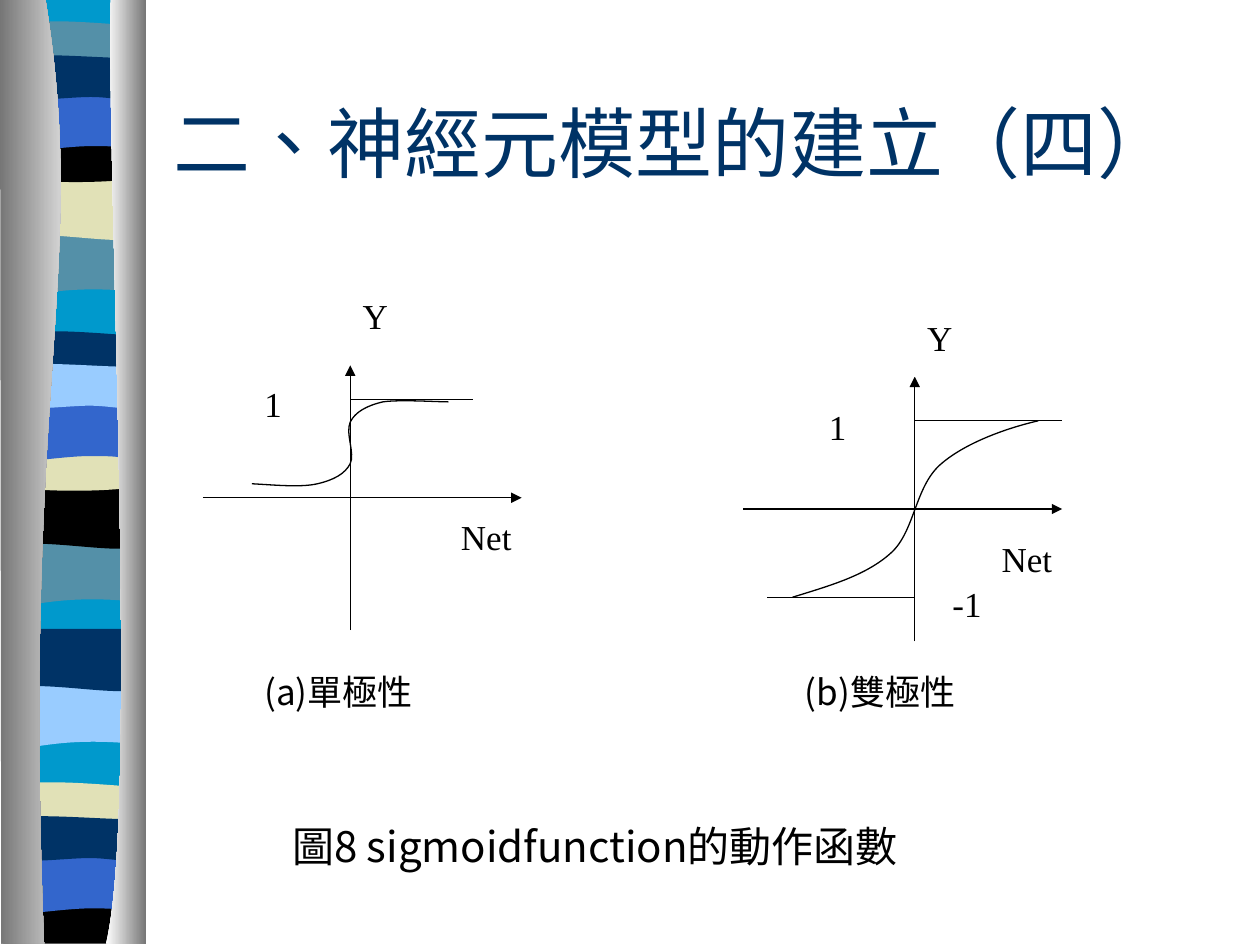
from lxml.etree import SubElement
from pptx import Presentation
from pptx.dml.color import RGBColor
from pptx.enum.lang import MSO_LANGUAGE_ID as Lang
from pptx.enum.shapes import MSO_CONNECTOR as Link, MSO_SHAPE as Shape
from pptx.enum.text import MSO_ANCHOR as Anchor, PP_ALIGN as Align
from pptx.oxml.ns import qn
from pptx.util import Inches, Pt

SERIF, SANS = "Times New Roman", "Noto Sans CJK SC"
BLACK, WHITE, NAVY, TEAL = "000000", "FFFFFF", "003366", "5490A8"
BLUE, SKY, CREAM, CYAN, GREY = "3366CC", "99CCFF", "E1E1B7", "0099CC", "767676"

# Outlines start with a point; 2 numbers add a line, 6 add a Bézier curve.
DIP = [(1.08, 0), (1.08, .47), (.33, .39, .18, .55, 0, .47), (0, 0)]
SWELL = [(1.08, 0), (1.08, .47), (.9, .55, .33, .41, 0, .47), (0, 0)]
THIN = [(1.08, .05), (1.08, .29), (.9, .33, .18, .33, 0, .29), (0, .05),
        (.06, 0, .23, .01, .41, .01), (.59, .01, .94, .04, 1.08, .05)]
BOWL = [(1.08, 0), (1.08, .32), (.9, .38, .18, .38, 0, .32), (0, 0),
        (.66, .05, .85, 0, 1.08, 0)]
FOOT = [(1.08, 0), (1.08, .37), (.01, .37), (0, 0), (.66, .05, .85, 0, 1.08, 0)]
ARCH = [(1.08, 0), (1.08, .47), (.91, .42, .84, .42, .66, .42),
        (.48, .42, .16, .47, 0, .47), (0, 0)]
CAP = [(1.08, .05), (1.08, .36), (1.01, .41, .84, .36, .66, .36),
       (.48, .36, .11, .41, 0, .36), (0, .05), (.15, 0, .73, .05, .91, .05),
       (1.09, .05, 1.04, .05, 1.08, .05)]
BASE = [(1.08, 0), (1.08, 7.48), (0, 7.48), (0, 0)]

BANDS = [
    (BASE, .06, -.01, CYAN),
    (DIP, .06, 1.85, TEAL), (SWELL, .06, 1.41, CREAM), (THIN, .06, .16, TEAL),
    (BOWL, .06, 1.08, BLACK), (ARCH, .06, .74, BLUE), (CAP, .06, .41, NAVY),
    (DIP, .05, 4.31, TEAL), (SWELL, .05, 3.86, BLACK), (THIN, .05, 2.62, NAVY),
    (BOWL, .05, 3.53, CREAM), (ARCH, .05, 3.2, BLUE), (CAP, .05, 2.86, SKY),
    (DIP, .06, 5.44, SKY), (SWELL, .06, 4.99, NAVY), (THIN, .05, 6.2, CREAM),
    (FOOT, .05, 7.12, BLACK), (ARCH, .05, 6.79, BLUE), (CAP, .05, 6.45, NAVY),
]
LEFT_EDGE = [(.36, -.01), (.71, 2.16, .17, 2.96, .35, 7.49), (.01, 7.49), (0, -.01)]
RIGHT_EDGE = [(.88, -.01), (.84, 1.25, 1.11, 6.46, .84, 7.49), (1.16, 7.49), (1.16, 0)]

STEP_CURVE = [(2, 3.84), (2.19, 3.85, 2.39, 3.87, 2.52, 3.84),
              (2.65, 3.81, 2.74, 3.76, 2.78, 3.68),
              (2.82, 3.6, 2.74, 3.44, 2.78, 3.35),
              (2.82, 3.27, 2.91, 3.22, 3.04, 3.19),
              (3.17, 3.17, 3.47, 3.19, 3.56, 3.19)]
S_CURVE = [(6.29, 4.74), (6.58, 4.65, 6.87, 4.57, 7.07, 4.39),
           (7.26, 4.22, 7.26, 3.87, 7.46, 3.69),
           (7.65, 3.52, 7.98, 3.4, 8.24, 3.34)]

LABELS = [
    ("Net", 7.85, 4.22, .78, SERIF), ("Net", 3.56, 4.04, .78, SERIF),
    ("-1", 7.46, 4.57, .58, SERIF), ("1", 6.48, 3.17, .59, SERIF),
    ("1", 2, 2.99, .59, SERIF), ("Y", 2.78, 2.29, .58, SERIF),
    ("Y", 7.26, 2.46, .78, SERIF),
    ("(a)單極性", 2, 5.27, 1.75, SANS), ("(b)雙極性", 6.29, 5.27, 1.75, SANS),
]


def rgb(code):
    return RGBColor.from_string(code)


def bend(shape, path):
    """Merge the three lines drawn for each curve into one Bézier."""
    lines = iter(list(shape._element.iter(qn("a:lnTo"))))
    for seg in path[1:]:
        first = next(lines)
        if len(seg) == 6:
            first.tag = qn("a:cubicBezTo")
            for _ in range(2):
                extra = next(lines)
                first.append(extra[0])
                extra.getparent().remove(extra)


def add_path(slide, path, left=0, top=0, close=True):
    pts = [(Inches(left + x), Inches(top + y))
           for seg in path for x, y in zip(seg[::2], seg[1::2])]
    pen = slide.shapes.build_freeform(*pts[0])
    pen.add_line_segments(pts[1:], close=close)
    shape = pen.convert_to_shape()
    bend(shape, path)
    shape.shadow.inherit = False
    return shape


def add_band(slide, path, left, top, color):
    band = add_path(slide, path, left, top)
    band.fill.solid()
    band.fill.fore_color.rgb = rgb(color)
    band.line.fill.background()


def add_edge(slide, path, start, end):
    edge = add_path(slide, path)
    edge.line.fill.background()
    edge.fill.gradient()
    edge.fill.gradient_angle = 0
    for stop, color in zip(edge.fill.gradient_stops, (start, end)):
        stop.color.rgb = rgb(color)


def add_curve(slide, path):
    curve = add_path(slide, path, close=False)
    curve.fill.background()
    ink(curve.line)


def ink(line, color=BLACK):
    line.color.rgb = rgb(color)
    line.width = Pt(.75)


def add_line(slide, x1, y1, x2, y2, arrow=False):
    line = slide.shapes.add_connector(Link.STRAIGHT, *map(Inches, (x1, y1, x2, y2)))
    ink(line.line)
    if arrow:
        SubElement(line.line._get_or_add_ln(), qn("a:tailEnd"), type="triangle")
    SubElement(line._element.spPr, qn("a:effectLst"))


def add_axes(slide, x, y, left, right):
    add_line(slide, x, y + 1.05, x, y - 1.05, arrow=True)
    add_line(slide, x - left, y, x + right, y, arrow=True)


def write(shape, text, size, font, color=BLACK, align=Align.LEFT, anchor=Anchor.MIDDLE):
    frame = shape.text_frame
    frame.word_wrap = True
    frame.vertical_anchor = anchor
    frame.text = text
    para = frame.paragraphs[0]
    para.alignment = align
    para.font.size = Pt(size)
    para.font.name = font
    para.font.color.rgb = rgb(color)
    para.runs[0].font.language_id = Lang.TRADITIONAL_CHINESE


def add_label(slide, text, left, top, width, font):
    box = slide.shapes.add_shape(Shape.RECTANGLE, *map(Inches, (left, top, width, .53)))
    box.shadow.inherit = False
    box.fill.solid()
    box.fill.fore_color.rgb = rgb(WHITE)
    ink(box.line, WHITE)
    write(box, text, 20, font, anchor=Anchor.TOP)


def main():
    prs = Presentation()
    prs.slide_width, prs.slide_height = Inches(10), Inches(7.5)
    slide = prs.slides.add_slide(prs.slide_layouts[5])

    for band in BANDS:
        add_band(slide, *band)
    add_edge(slide, LEFT_EDGE, GREY, WHITE)
    add_edge(slide, RIGHT_EDGE, WHITE, GREY)

    title = slide.shapes.title
    title.left, title.top, title.width, title.height = map(Inches, (1.28, .5, 8.5, 1.25))
    write(title, "二、神經元模型的建立（四）", 44, SERIF, NAVY)
    note = slide.shapes.add_textbox(*map(Inches, (1.61, 6.46, 6.3, .5)))
    write(note, "圖8 sigmoidfunction的動作函數 ", 24, SANS, align=Align.CENTER)

    add_axes(slide, 2.78, 3.95, 1.17, 1.36)
    add_line(slide, 2.78, 3.17, 3.75, 3.17)
    add_line(slide, 2.78, 3.69, 2.78, 3.69)
    add_curve(slide, STEP_CURVE)
    add_axes(slide, 7.26, 4.04, 1.36, 1.17)
    add_line(slide, 7.26, 3.34, 8.43, 3.34)
    add_line(slide, 6.09, 4.74, 7.26, 4.74)
    add_curve(slide, S_CURVE)
    for label in LABELS:
        add_label(slide, *label)

    prs.save("out.pptx")


if __name__ == "__main__":
    main()
